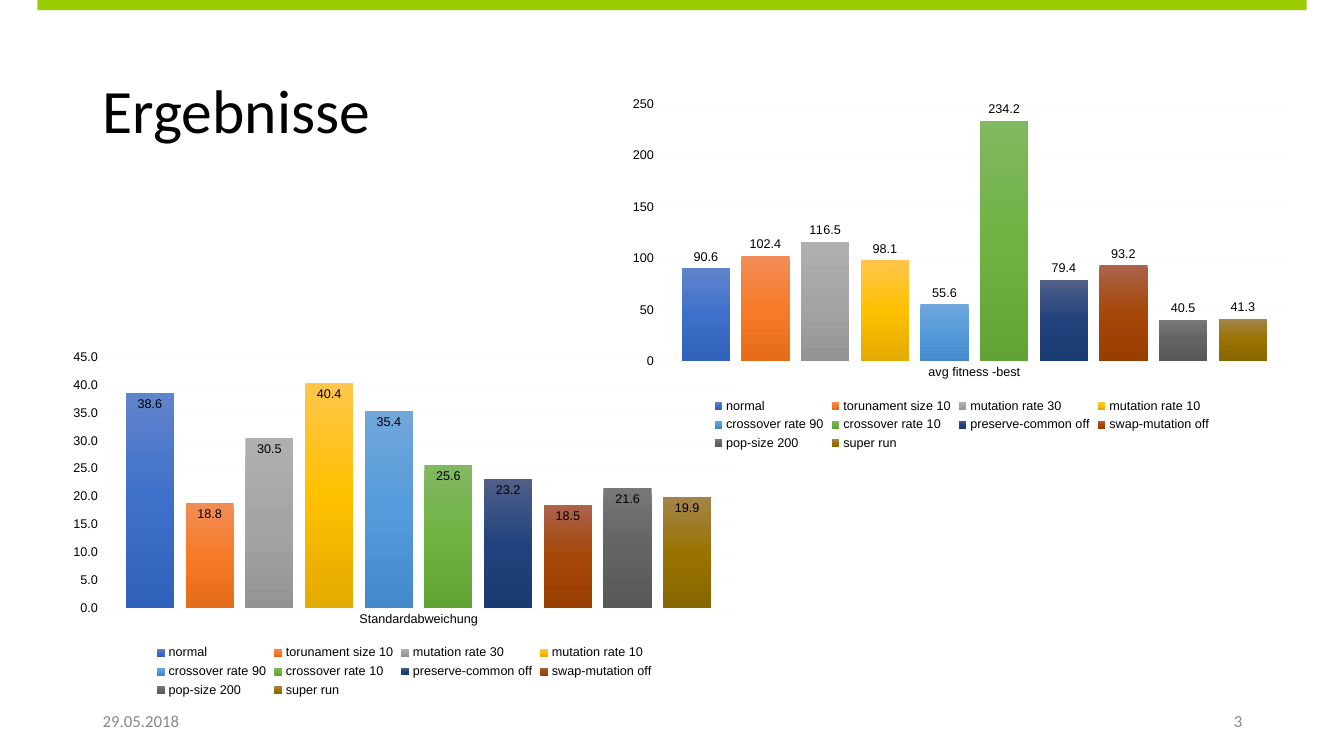
from copy import deepcopy
from dataclasses import dataclass

from pptx import Presentation
from pptx.chart.data import CategoryChartData
from pptx.dml.color import RGBColor
from pptx.enum.chart import XL_CHART_TYPE as ChartType
from pptx.enum.chart import XL_LABEL_POSITION as LabelPos
from pptx.enum.chart import XL_LEGEND_POSITION as LegendPos
from pptx.enum.chart import XL_TICK_MARK as Tick
from pptx.enum.shapes import MSO_SHAPE as Shape
from pptx.enum.text import MSO_ANCHOR as Anchor
from pptx.enum.text import PP_ALIGN as Align
from pptx.oxml.ns import qn
from pptx.util import Inches, Pt


@dataclass(frozen=True)
class Theme:
    accent: str = "99CD00"
    text: str = "000000"
    muted: str = "888888"
    grid: str = "FBFBFB"
    text_font: str = "Calibri"
    chart_font: str = "Arial"
    title_size: int = 44
    footer_size: int = 12
    chart_size: int = 9
    hairline: float = 0.75


THEME = Theme()
WIDTH, HEIGHT = Inches(13.33), Inches(7.5)

# Each run of the experiment with its gradient from top to bottom
RUNS = {
    "normal": ("6183CB", "3E70CA", "3062BB"),
    "torunament size 10": ("F18C57", "F67B28", "E56C19"),
    "mutation rate 30": ("AFAFAF", "A5A5A5", "939393"),
    "mutation rate 10": ("FFC64B", "FFC000", "E3AB00"),
    "crossover rate 90": ("71A6DB", "559BDB", "448ACA"),
    "crossover rate 10": ("81B861", "6FB242", "62A336"),
    "preserve-common off": ("516089", "22427D", "1A3A72"),
    "swap-mutation off": ("AB634B", "A54707", "983E00"),
    "pop-size 200": ("777777", "636363", "585858"),
    "super run": ("A4844B", "997300", "886600"),
}
DEVIATION = (38.6, 18.8, 30.5, 40.4, 35.4, 25.6, 23.2, 18.5, 21.6, 19.9)
FITNESS = (90.6, 102.4, 116.5, 98.1, 55.6, 234.2, 79.4, 93.2, 40.5, 41.3)


def rgb(color):
    return RGBColor.from_string(color)


def area(left, top, width, height):
    """Turn percentages of the slide into lengths."""
    return (int(WIDTH * left / 100), int(HEIGHT * top / 100),
            int(WIDTH * width / 100), int(HEIGHT * height / 100))


def style_font(font, size, color=THEME.text, name=THEME.chart_font):
    font.size, font.name = Pt(size), name
    font.color.rgb = rgb(color)


def add_text(slide, text, box, *, size, color=THEME.text, align=Align.LEFT,
             spacing=1.0):
    tf = slide.shapes.add_textbox(*area(*box)).text_frame
    tf.word_wrap = True
    tf.vertical_anchor = Anchor.MIDDLE
    tf.margin_left = tf.margin_right = Inches(0.1)
    p = tf.paragraphs[0]
    p.alignment, p.line_spacing = align, spacing
    r = p.add_run()
    r.text = text
    style_font(r.font, size, color, THEME.text_font)


def add_bar(slide, box):
    sp = slide.shapes.add_shape(Shape.RECTANGLE, *area(*box))
    sp.shadow.inherit = False
    sp.fill.solid()
    sp.fill.fore_color.rgb = rgb(THEME.accent)
    sp.line.fill.background()


def fill_gradient(series, colors):
    """Fill the columns downwards with evenly spaced colours."""
    fill = series.format.fill
    fill.gradient()
    fill.gradient_angle = 270
    stops = series._element.find(".//" + qn("a:gsLst"))
    stops.insert(1, deepcopy(stops[0]))
    for i, (stop, color) in enumerate(zip(fill.gradient_stops, colors)):
        stop.position = i / (len(colors) - 1)
        stop.color.rgb = rgb(color)


def style_line(line):
    line.color.rgb = rgb(THEME.grid)
    line.width = Pt(THEME.hairline)


def style_axes(chart, top, step, number_format):
    for axis in (chart.category_axis, chart.value_axis):
        axis.major_tick_mark = axis.minor_tick_mark = Tick.NONE
        style_font(axis.tick_labels.font, THEME.chart_size)
    style_line(chart.category_axis.format.line)
    axis = chart.value_axis
    axis.minimum_scale, axis.maximum_scale, axis.major_unit = 0, top, step
    axis.format.line.fill.background()
    style_line(axis.major_gridlines.format.line)
    axis.tick_labels.number_format = number_format
    axis.tick_labels.number_format_is_linked = False


def add_column_chart(slide, box, category, values, *, top, step, label_pos,
                     number_format="General"):
    data = CategoryChartData(number_format=number_format)
    data.categories = [category]
    for name, value in zip(RUNS, values):
        data.add_series(name, [value])
    chart = slide.shapes.add_chart(
        ChartType.COLUMN_CLUSTERED, *area(*box), data).chart
    chart.has_title = False
    style_font(chart.font, THEME.chart_size)
    style_axes(chart, top, step, number_format)

    chart.has_legend = True
    chart.legend.position = LegendPos.BOTTOM
    chart.legend.include_in_layout = False
    style_font(chart.legend.font, THEME.chart_size)

    plot = chart.plots[0]
    plot.vary_by_categories = False
    plot.gap_width, plot.overlap = 100, -24
    for series in plot.series:
        fill_gradient(series, RUNS[series.name])
        labels = series.data_labels
        labels.show_value = True
        labels.position = label_pos
        labels.number_format = number_format
        labels.number_format_is_linked = False
        style_font(labels.font, THEME.chart_size)


def main():
    prs = Presentation()
    prs.slide_width, prs.slide_height = WIDTH, HEIGHT
    slide = prs.slides.add_slide(prs.slide_layouts[6])

    add_bar(slide, (2.78, 0, 94.45, 1.33))
    add_text(slide, "Ergebnisse", (6.9, 5.33, 86.27, 19.33),
             size=THEME.title_size, spacing=0.9)
    add_text(slide, "29.05.2018", (6.9, 92.67, 22.5, 5.33),
             size=THEME.footer_size, color=THEME.muted)
    add_text(slide, "3", (70.67, 92.67, 22.5, 5.33),
             size=THEME.footer_size, color=THEME.muted, align=Align.RIGHT)
    add_column_chart(slide, (4.43, 45.33, 51.31, 47.47), "Standardabweichung",
                     DEVIATION, top=45, step=5,
                     label_pos=LabelPos.INSIDE_END, number_format="0.0")
    add_column_chart(slide, (46.06, 11.87, 51.01, 48.27), "avg fitness -best",
                     FITNESS, top=250, step=50,
                     label_pos=LabelPos.OUTSIDE_END)
    prs.save("out.pptx")


if __name__ == "__main__":
    main()
